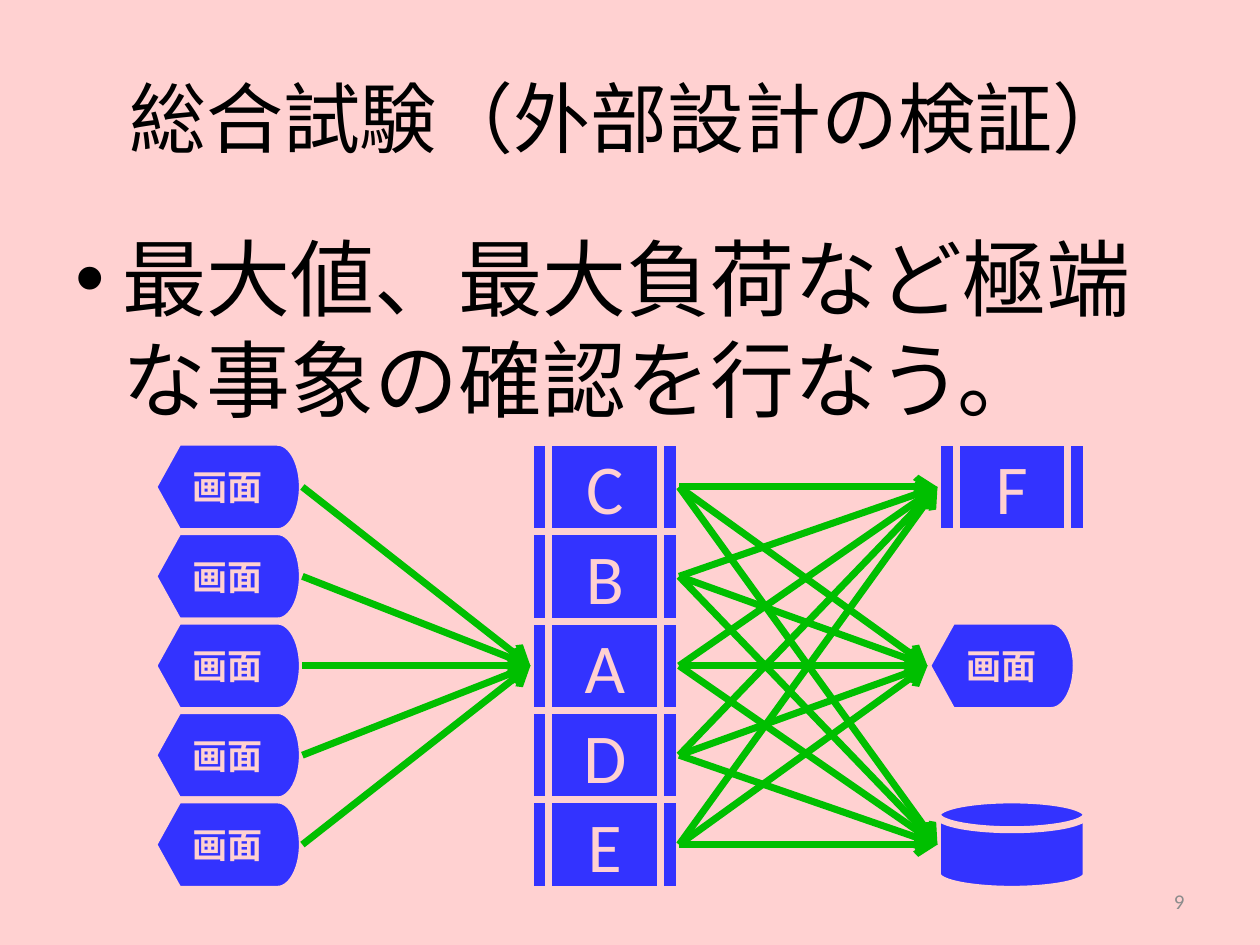
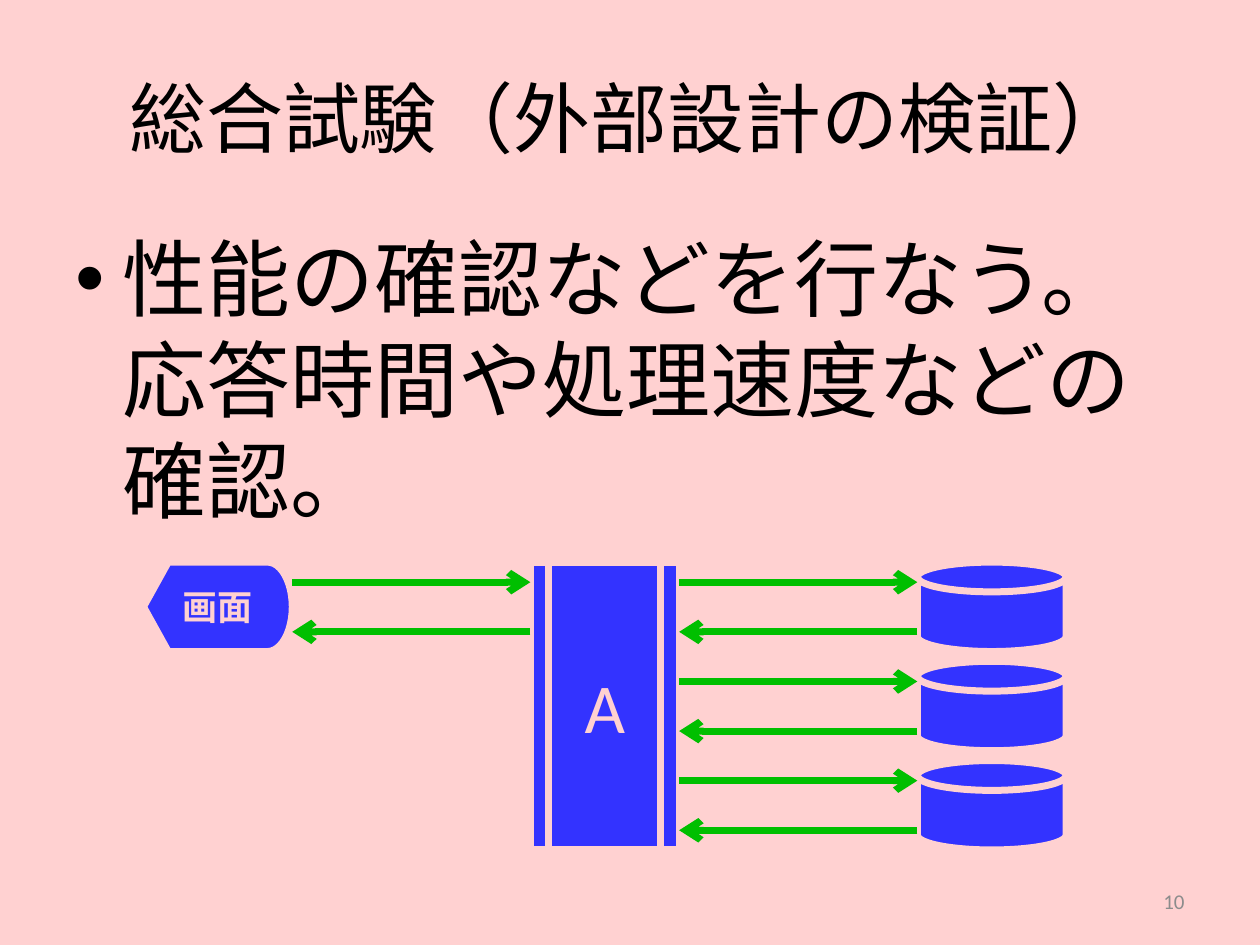
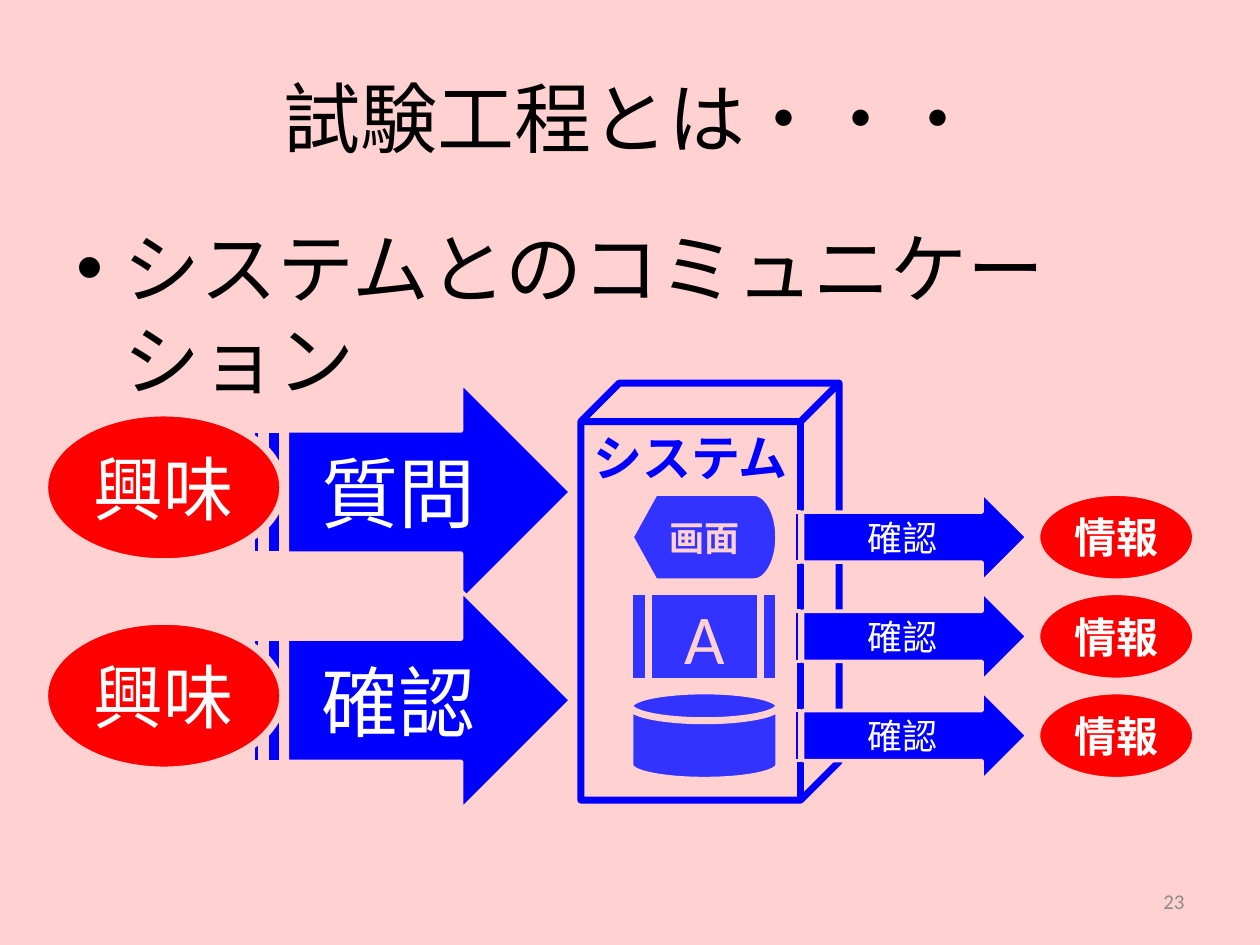
"""Builds three slides on system testing: two flow diagrams and a communication diagram."""
import itertools
from dataclasses import dataclass

import lxml.etree
import pptx
import pptx.dml.color
import pptx.enum.shapes
import pptx.enum.text
import pptx.oxml.ns
import pptx.util

Pt = pptx.util.Pt
Kind = pptx.enum.shapes.MSO_SHAPE
Anchor = pptx.enum.text.MSO_ANCHOR
Align = pptx.enum.text.PP_ALIGN

FONT = "Calibri"
PINK, BLACK, WHITE, GREY = "FFD1D1", "000000", "FFFFFF", "8C8C8C"
INDIGO, BLUE, RED, GREEN = "3333FF", "0000FF", "FF0000", "00BF00"

NODE_W, NODE_H = 85, 51.1
PROCESS_X = 303.1
PROCESS_RIGHT = PROCESS_X + NODE_W


@dataclass(frozen=True)
class Box:
    """A rectangle in points."""
    left: float
    top: float
    width: float = NODE_W
    height: float = NODE_H

    @property
    def right(self) -> float:
        return self.left + self.width

    @property
    def middle(self) -> float:
        return self.top + self.height / 2

    def lengths(self) -> list:
        return [Pt(v) for v in (self.left, self.top, self.width, self.height)]


@dataclass(frozen=True)
class Style:
    """The look of one kind of diagram shape."""
    kind: Kind
    fill: str | None
    line: str
    ink: str
    size: float
    bold: bool = False
    weight: float = 4
    adjustments: tuple[float, ...] = ()
    anchor: Anchor = Anchor.MIDDLE


PROCESS = Style(Kind.FLOWCHART_PREDEFINED_PROCESS, INDIGO, PINK, PINK, 40)
SCREEN = Style(Kind.FLOWCHART_DISPLAY, INDIGO, PINK, PINK, 20, bold=True)
DISK = Style(Kind.FLOWCHART_MAGNETIC_DISK, INDIGO, PINK, PINK, 20)
SYSTEM = Style(Kind.CUBE, None, BLUE, BLUE, 28, bold=True,
               adjustments=(0.149,), anchor=Anchor.TOP)
ASK = Style(Kind.STRIPED_RIGHT_ARROW, BLUE, PINK, WHITE, 44, weight=2, adjustments=(0.561, 0.5))
CHECK = Style(Kind.STRIPED_RIGHT_ARROW, BLUE, PINK, WHITE, 20, weight=2, adjustments=(0.561, 0.5))
INTEREST = Style(Kind.OVAL, RED, PINK, WHITE, 40)
INFORMATION = Style(Kind.OVAL, RED, PINK, WHITE, 24, bold=True)


def rgb(code: str) -> pptx.dml.color.RGBColor:
    """Turn a hex string into a colour."""
    return pptx.dml.color.RGBColor.from_string(code)


def add_xml(parent, tag: str, **attributes: str):
    """Append a drawing element to a parent element."""
    child = lxml.etree.SubElement(parent, pptx.oxml.ns.qn(tag))
    for key, value in attributes.items():
        child.set(key, value)
    return child


def write(frame, text: str, size: float, ink: str, align: Align, bold: bool = False):
    """Write one run into the first paragraph of a frame."""
    paragraph = frame.paragraphs[0]
    paragraph.alignment = align
    run = paragraph.add_run()
    run.text = text
    run.font.size = Pt(size)
    run.font.bold = bold
    run.font.color.rgb = rgb(ink)
    run.font.name = FONT
    add_xml(run.font._element, "a:ea", typeface=FONT)
    return paragraph


def add_text(slide, box: Box, text: str, size: float, ink: str, align: Align, anchor: Anchor):
    """Add a wrapped text box and return its paragraph."""
    frame = slide.shapes.add_textbox(*box.lengths()).text_frame
    frame.word_wrap = True
    frame.vertical_anchor = anchor
    return write(frame, text, size, ink, align)


def add_bullet(slide, box: Box, text: str, size: float) -> None:
    """Add the bulleted statement below the title."""
    paragraph = add_text(slide, box, text, size, BLACK, Align.LEFT, Anchor.TOP)
    properties = paragraph._p.get_or_add_pPr()
    properties.set("marL", str(Pt(27)))
    properties.set("indent", str(-Pt(27)))
    add_xml(add_xml(properties, "a:spcBef"), "a:spcPct", val="20000")
    add_xml(properties, "a:buFont", typeface="Arial")
    add_xml(properties, "a:buChar", char="•")


def add_node(slide, style: Style, box: Box, text: str = "") -> Box:
    """Draw one diagram shape and return its box."""
    node = slide.shapes.add_shape(style.kind, *box.lengths())
    node.shadow.inherit = False
    for index, value in enumerate(style.adjustments):
        node.adjustments[index] = value
    if style.fill:
        node.fill.solid()
        node.fill.fore_color.rgb = rgb(style.fill)
    else:
        node.fill.background()
    node.line.color.rgb = rgb(style.line)
    node.line.width = Pt(style.weight)
    if text:
        node.text_frame.word_wrap = False
        node.text_frame.vertical_anchor = style.anchor
        write(node.text_frame, text, style.size, style.ink, Align.CENTER, style.bold)
    return box


def add_arrow(slide, x1: float, y1: float, x2: float, y2: float) -> None:
    """Draw a green arrow from the first point to the second."""
    straight = pptx.enum.shapes.MSO_CONNECTOR.STRAIGHT
    arrow = slide.shapes.add_connector(straight, Pt(x1), Pt(y1), Pt(x2), Pt(y2))
    arrow.line.color.rgb = rgb(GREEN)
    arrow.line.width = Pt(4)
    add_xml(arrow.line._get_or_add_ln(), "a:tailEnd", type="arrow")
    add_xml(arrow._element.spPr, "a:effectLst")


def add_exchange(slide, left: float, right: float, top: float) -> None:
    """Draw a request to the right and its answer to the left."""
    request, answer = top + 11.5, top + 39.85
    add_arrow(slide, left, request, right, request)
    add_arrow(slide, right, answer, left, answer)


def start_slide(deck, title: str, number: int):
    """Add a slide with the shared background, title and number."""
    slide = deck.slides.add_slide(deck.slide_layouts[6])
    slide.background.fill.solid()
    slide.background.fill.fore_color.rgb = rgb(PINK)
    add_text(slide, Box(36, 21.6, 648, 90), title, 44, BLACK, Align.CENTER, Anchor.MIDDLE)
    add_text(slide, Box(516.2, 500.4, 167.8, 28.8), str(number), 12, GREY,
             Align.RIGHT, Anchor.MIDDLE)
    return slide


def build_load_test(deck) -> None:
    """Build the slide on extreme loads."""
    slide = start_slide(deck, "総合試験（外部設計の検証）", 9)
    add_bullet(slide, Box(36, 126, 648, 365.8), "最大値、最大負荷など極端な事象の確認を行なう。", 48)
    tops = [252.7 + NODE_H * row for row in range(5)]
    screens = [add_node(slide, SCREEN, Box(87.8, top), "画面") for top in tops]
    processes = [add_node(slide, PROCESS, Box(PROCESS_X, top), letter)
                 for top, letter in zip(tops, "CBADE")]
    targets = [
        add_node(slide, PROCESS, Box(535.7, tops[0]), "F"),
        add_node(slide, SCREEN, Box(530, tops[2]), "画面"),
        add_node(slide, DISK, Box(535.7, tops[4])),
    ]
    links = itertools.chain(itertools.product(screens, processes[2:3]),
                            itertools.product(processes, targets))
    for source, target in links:
        add_arrow(slide, source.right, source.middle, target.left, target.middle)


def build_performance_test(deck) -> None:
    """Build the slide on response time and speed."""
    slide = start_slide(deck, "総合試験（外部設計の検証）", 10)
    add_bullet(slide, Box(36, 126, 648, 183.6),
               "性能の確認などを行なう。応答時間や処理速度などの確認。", 48)
    tops = [321.2 + 56.7 * row for row in range(3)]
    disk_x = 524.2
    add_node(slide, PROCESS, Box(PROCESS_X, tops[0], height=164.3), "A")
    screen = add_node(slide, SCREEN, Box(82, tops[0]), "画面")
    add_exchange(slide, screen.right, PROCESS_X, tops[0])
    for top in tops:
        add_node(slide, DISK, Box(disk_x, top))
        add_exchange(slide, PROCESS_RIGHT, disk_x, top)


def build_communication(deck) -> None:
    """Build the slide on testing as communication."""
    slide = start_slide(deck, "試験工程とは・・・", 23)
    add_bullet(slide, Box(36.7, 122.4, 648, 365.8), "システムとのコミュニケーション", 44)
    tops = [281.4 + 56.7 * row for row in range(3)]
    parts = [(SCREEN, "画面"), (PROCESS, "A"), (DISK, "")]
    for top, (style, label) in zip(tops, parts):
        add_node(slide, style, Box(360, top), label)
    add_node(slide, SYSTEM, Box(331.9, 218.9, 147.6, 238.3), "システム")
    for top in tops:
        add_node(slide, CHECK, Box(450.7, top, 136.1), "確認")
        add_node(slide, INFORMATION, Box(592.5, top, 90.7), "情報")
    for top, action in zip((218.9, 337.9), ("質問", "確認")):
        add_node(slide, ASK, Box(144.7, top, 181.4, 124.6), action)
        add_node(slide, INTEREST, Box(25.5, top + 17.1, 136.1, 85), "興味")


def main() -> None:
    """Build and save the deck."""
    deck = pptx.Presentation()
    deck.slide_width, deck.slide_height = Pt(720), Pt(540)
    build_load_test(deck)
    build_performance_test(deck)
    build_communication(deck)
    deck.save("out.pptx")


main()
